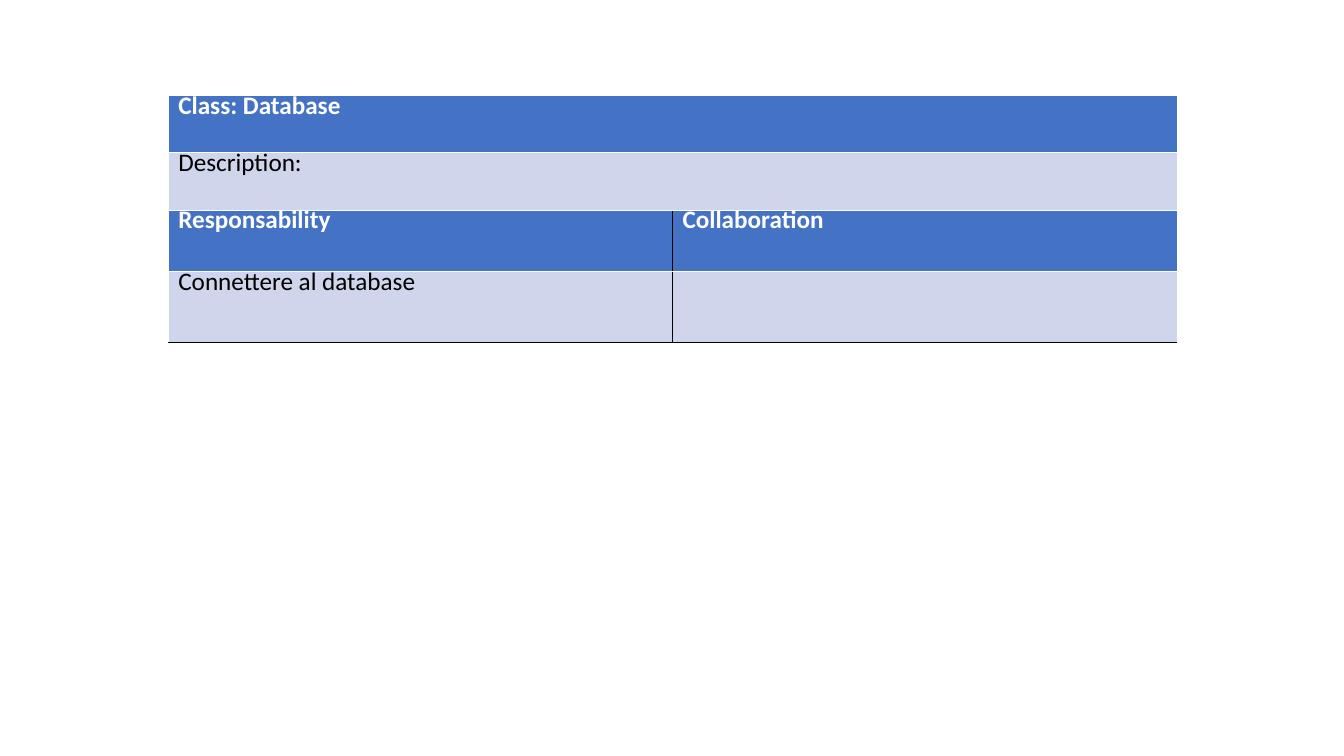
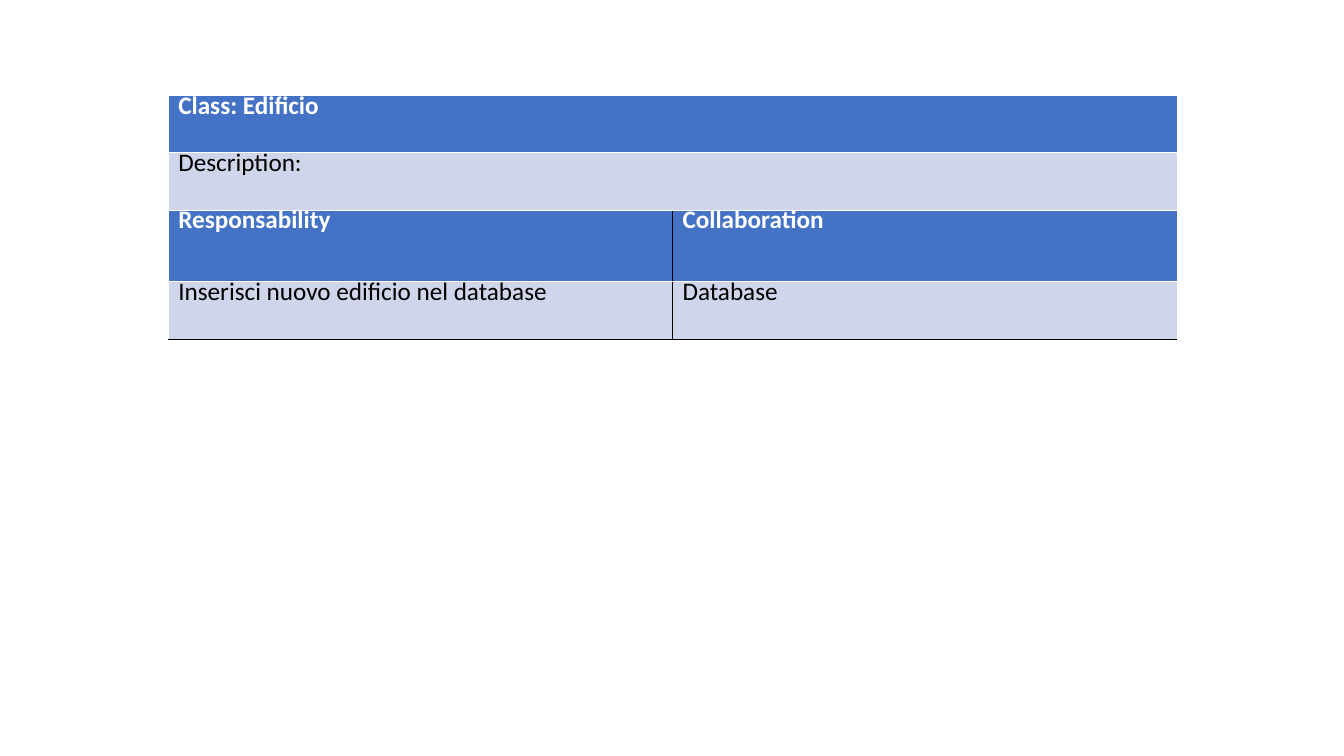
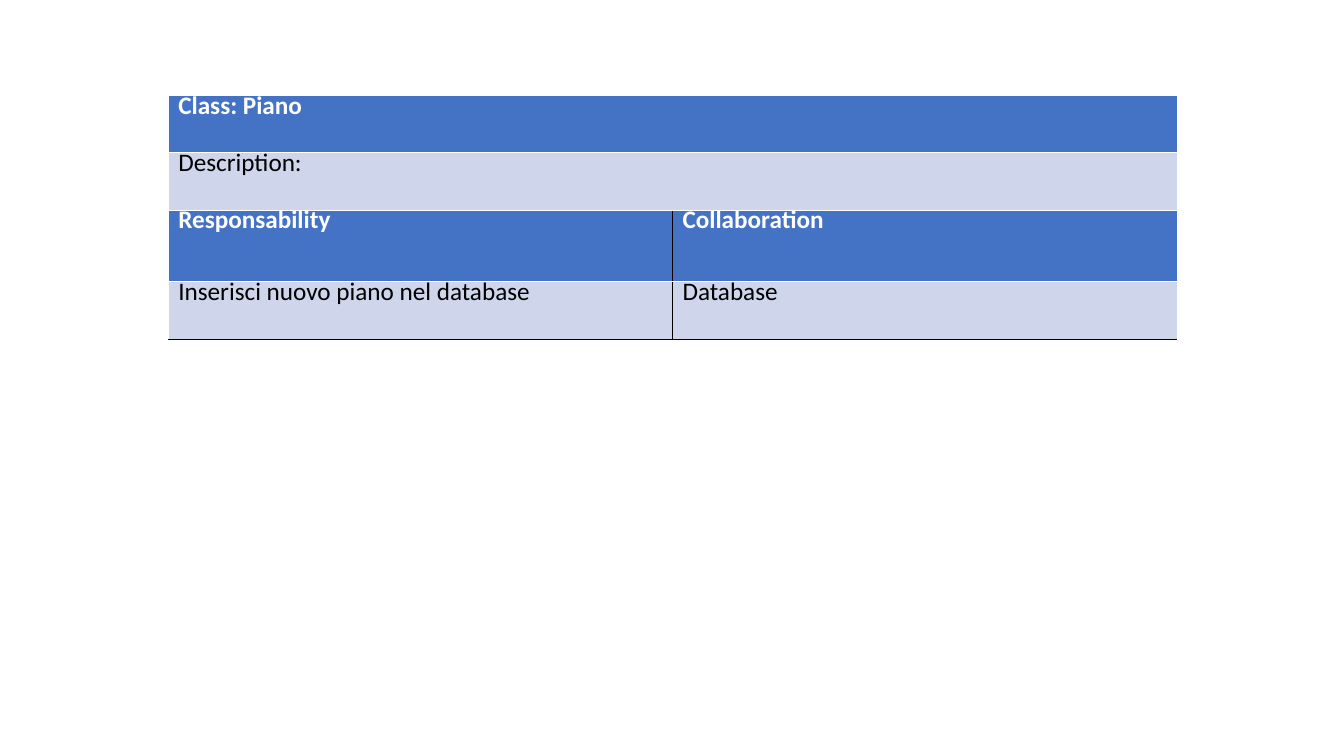
from lxml.etree import SubElement
from pptx import Presentation
from pptx.dml.color import RGBColor
from pptx.oxml.ns import qn
from pptx.util import Inches, Pt

# Content: class name, (responsibility, collaborator), heights of the two lower rows
CARDS = [
    ("Database", ("Connettere al database", ""), (0.61, 0.7)),
    ("Edificio", ("Inserisci nuovo edificio nel database", "Database"), (0.71, 0.57)),
    ("Piano", ("Inserisci nuovo piano nel database", "Database"), (0.71, 0.57)),
]
HEADINGS = ("Responsability", "Collaboration")

# Shared style
WHITE = RGBColor(0xFF, 0xFF, 0xFF)
BLACK = RGBColor(0x00, 0x00, 0x00)
BLUE = RGBColor(0x44, 0x72, 0xC4)
PALE = RGBColor(0xCF, 0xD5, 0xEA)
FONT, TEXT_SIZE, LINE_SPACING = "Calibri", Pt(18), 0.58
BORDER = Pt(0.06)

# Shared layout, in inches: the duties table starts where the class table ends
LEFT, WIDTH = 1.67, 10.01
CLASS_TOP, CLASS_ROWS = 0.94, (0.57, 0.57)
DUTIES_TOP = CLASS_TOP + sum(CLASS_ROWS)


def set_borders(cell, colors):
    """Draw the left, right, top and bottom borders, in that order."""
    properties = cell._tc.get_or_add_tcPr()
    for side, color in zip("LRTB", colors):
        line = SubElement(properties, qn(f"a:ln{side}"), w=str(int(BORDER)))
        fill = SubElement(line, qn("a:solidFill"))
        SubElement(fill, qn("a:srgbClr"), val=str(color))


def style_cell(cell, text, is_heading):
    cell.fill.solid()
    cell.fill.fore_color.rgb = BLUE if is_heading else PALE
    paragraph = cell.text_frame.paragraphs[0]
    paragraph.line_spacing = LINE_SPACING
    if text:
        run = paragraph.add_run()
        run.text = text
        run.font.name = FONT
        run.font.size = TEXT_SIZE
        run.font.bold = is_heading
        run.font.color.rgb = WHITE if is_heading else BLACK


def add_card_table(slide, top, heights, rows, bottom_color):
    """A heading row over a body row; columns are split by a black line."""
    count = len(rows[0])
    table = slide.shapes.add_table(
        len(rows), count, Inches(LEFT), Inches(top),
        Inches(WIDTH), Inches(sum(heights))).table
    table.first_row = table.horz_banding = False
    for row, height in zip(table.rows, heights):
        row.height = Inches(height)
    for r, texts in enumerate(rows):
        for c, text in enumerate(texts):
            cell = table.cell(r, c)
            set_borders(cell, (
                BLACK if c > 0 else WHITE,
                BLACK if c < count - 1 else WHITE,
                WHITE,
                bottom_color if r == len(rows) - 1 else WHITE))
            style_cell(cell, text, is_heading=r == 0)


def main():
    prs = Presentation()
    prs.slide_width, prs.slide_height = Inches(13.34), Inches(7.5)
    for name, duties, duty_heights in CARDS:
        slide = prs.slides.add_slide(prs.slide_layouts[6])
        add_card_table(slide, DUTIES_TOP, duty_heights, [HEADINGS, duties], BLACK)
        add_card_table(slide, CLASS_TOP, CLASS_ROWS,
                       [(f"Class: {name}",), ("Description:",)], WHITE)
    prs.save("out.pptx")


if __name__ == "__main__":
    main()
